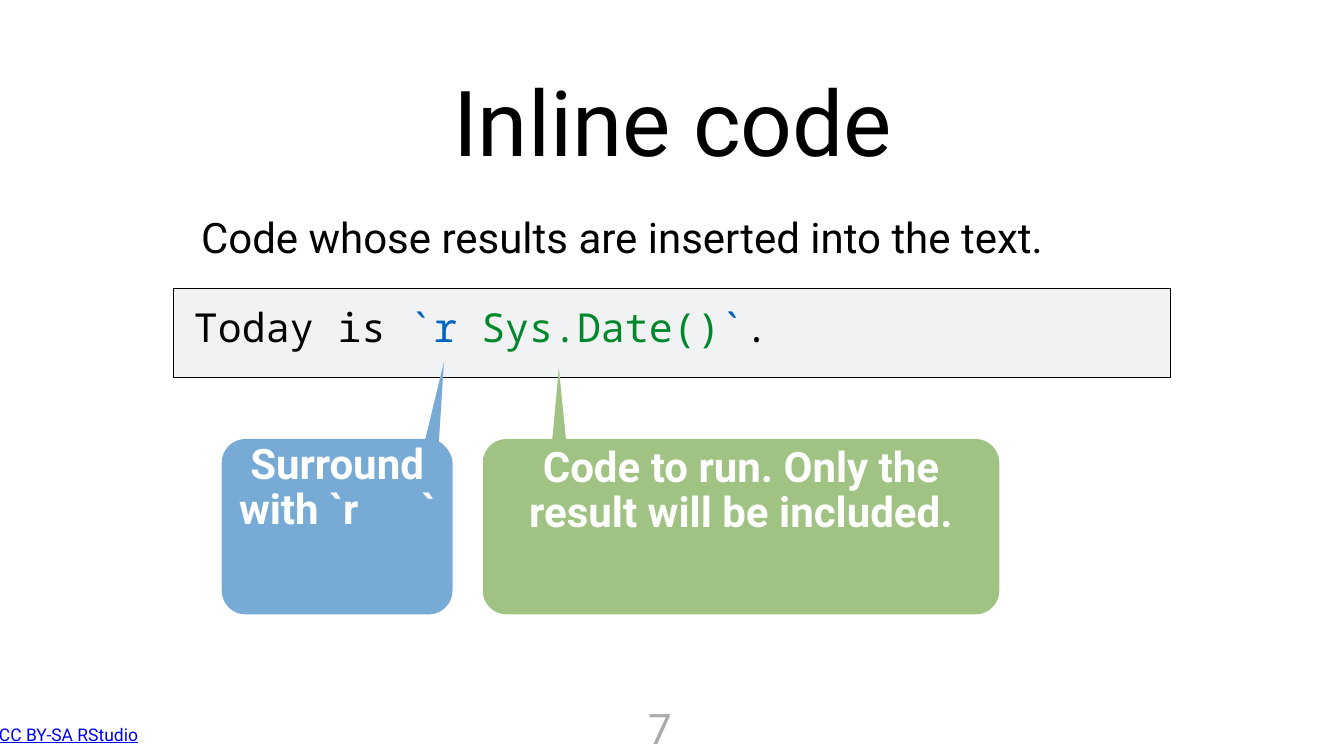
from dataclasses import dataclass

from lxml import etree
from pptx import Presentation
from pptx.dml.color import RGBColor
from pptx.enum.shapes import MSO_SHAPE
from pptx.enum.text import MSO_ANCHOR, PP_ALIGN
from pptx.oxml.ns import qn
from pptx.util import Inches, Pt

RECT = MSO_SHAPE.RECTANGLE
TOP, MIDDLE = MSO_ANCHOR.TOP, MSO_ANCHOR.MIDDLE
LEFT, CENTER = PP_ALIGN.LEFT, PP_ALIGN.CENTER
SANS, MONO = "Roboto", "Noto Sans Mono"
BLACK, WHITE, BLUE, GREEN = "000000", "FFFFFF", "0365C0", "00882B"
ROOF, FLOOR, RADIUS = 8.71, 12.19, 0.47
BEND = 0.55  # share of the way to the knee that makes a round corner
UNIT = 1000  # outline steps per inch
GAP = 75  # points added to the blank between the backticks

Point = tuple[float, float]
Box = tuple[float, float, float, float]


@dataclass
class Piece:
    text: str
    color: str = ""
    spread: int = 0


@dataclass
class Style:
    size: float
    color: str = BLACK
    font: str = SANS
    align: PP_ALIGN = LEFT
    anchor: MSO_ANCHOR = TOP
    inset: float = 0.06
    bold: bool = False
    under: bool = False
    line: float | None = None


@dataclass
class Label:
    box: Box
    pieces: list[Piece]
    style: Style


@dataclass
class Callout:
    """The pointer runs from base to tip to foot; knee is the next corner."""
    left: float
    right: float
    base: Point
    tip: Point
    foot: list[Point]
    knee: Point
    fill: str
    pieces: list[Piece]


LABELS = [
    Label((-0.1, 14.28, 3.09, 0.57), [Piece("CC BY-SA RStudio")],
          Style(25, "0000FF", anchor=MIDDLE, inset=0.08, under=True)),
    Label((3.93, 4.13, 19.52, 2.72),
          [Piece("Code whose results are inserted into the text.")], Style(60)),
    Label((3.79, 5.95, 17.24, 1.56),
          [Piece("Today is ", BLACK), Piece("`r ", BLUE),
           Piece("Sys.Date()", GREEN), Piece("`", BLUE), Piece(".", BLACK)],
          Style(57, font=MONO)),
    Label((12.78, 13.85, 1.1, 1.16), [Piece("7")],
          Style(60, "A6AAA9", inset=0.08)),
]
CALLOUTS = [
    Callout(9.58, 19.83, (10.96, ROOF), (11.09, 7.3),
            [(11.23, ROOF), (19.36, ROOF)], (19.83, ROOF), "A0C283",
            [Piece("Code to run. Only the result will be included.")]),
    Callout(4.4, 8.98, (8.44, ROOF), (8.81, 7.18),
            [(8.71, 8.76)], (8.98, 8.91), "78AAD6",
            [Piece("Surround with `r"), Piece(" ", spread=GAP), Piece("`")]),
]


def rgb(color: str) -> RGBColor:
    return RGBColor.from_string(color)


def write(shape, pieces: list[Piece], style: Style) -> None:
    frame = shape.text_frame
    frame.word_wrap = True
    frame.vertical_anchor = style.anchor
    frame.margin_left = frame.margin_right = Inches(style.inset)
    frame.margin_top = frame.margin_bottom = Inches(style.inset)
    para = frame.paragraphs[0]
    para.alignment = style.align
    para.line_spacing = style.line
    font = para.font
    font.name, font.size = style.font, Pt(style.size)
    font.bold, font.underline = style.bold, style.under
    font.color.rgb = rgb(style.color)
    for piece in pieces:
        run = para.add_run()
        run.text = piece.text
        if piece.color:
            run.font.color.rgb = rgb(piece.color)
        if piece.spread:
            run._r.get_or_add_rPr().set("spc", str(piece.spread * 100))


def add_label(slide, label: Label) -> None:
    shape = slide.shapes.add_textbox(*map(Inches, label.box))
    write(shape, label.pieces, label.style)


def paint(shape, color: str) -> None:
    shape.shadow.inherit = False
    shape.fill.solid()
    shape.fill.fore_color.rgb = rgb(color)


def toward(spot: Point, knee: Point) -> Point:
    return (spot[0] + BEND * (knee[0] - spot[0]),
            spot[1] + BEND * (knee[1] - spot[1]))


def curve(shape, first: int) -> None:
    """Join three of every four line segments, from first on, into a curve."""
    lines = list(shape._element.iter(qn("a:lnTo")))
    for start in range(first, len(lines), 4):
        trio = lines[start:start + 3]
        bend = etree.Element(qn("a:cubicBezTo"))
        trio[0].addprevious(bend)
        for line in trio:
            bend.append(line[0])
            line.getparent().remove(line)


def add_callout(slide, call: Callout) -> None:
    """Rounded box whose pointer rises from its upper edge."""
    west, east = call.left + RADIUS, call.right - RADIUS
    north, south = ROOF + RADIUS, FLOOR - RADIUS
    corners = [
        (call.foot[-1], call.knee, (call.right, north)),
        ((call.right, south), (call.right, FLOOR), (east, FLOOR)),
        ((west, FLOOR), (call.left, FLOOR), (call.left, south)),
        ((call.left, north), (call.left, ROOF), (west, ROOF)),
    ]
    nexts = [corner[0] for corner in corners[1:]] + [call.base]
    edge = list(call.foot)
    for (start, knee, end), follow in zip(corners, nexts):
        edge += [toward(start, knee), toward(end, knee), end, follow]
    spots = [(round(x * UNIT), round(y * UNIT)) for x, y in [call.tip, *edge]]
    pen = slide.shapes.build_freeform(*spots[0], scale=Inches(1) / UNIT)
    pen.add_line_segments(spots[1:], close=True)
    shape = pen.convert_to_shape()
    curve(shape, len(call.foot))
    paint(shape, call.fill)
    shape.line.fill.background()
    write(shape, call.pieces,
          Style(60, WHITE, align=CENTER, anchor=MIDDLE, inset=0.08,
                bold=True, line=0.9))


def add_panel(slide, box: Box) -> None:
    panel = slide.shapes.add_shape(RECT, *map(Inches, box))
    paint(panel, "F0F2F4")
    panel.line.color.rgb = rgb(BLACK)
    panel.line.width = Pt(1)


def set_title(slide, text: str, box: Box) -> None:
    title = slide.shapes.title
    title.left, title.top, title.width, title.height = map(Inches, box)
    write(title, [Piece(text)], Style(130, align=CENTER, anchor=MIDDLE))


def main() -> None:
    deck = Presentation()
    deck.slide_width, deck.slide_height = Inches(26.67), Inches(15)
    slide = deck.slides.add_slide(deck.slide_layouts[5])
    set_title(slide, "Inline code", (7.63, 1.02, 11.44, 2.72))
    add_panel(slide, (3.45, 5.72, 19.77, 1.77))
    for label in LABELS:
        add_label(slide, label)
    for call in CALLOUTS:
        add_callout(slide, call)
    deck.save("out.pptx")


if __name__ == "__main__":
    main()
